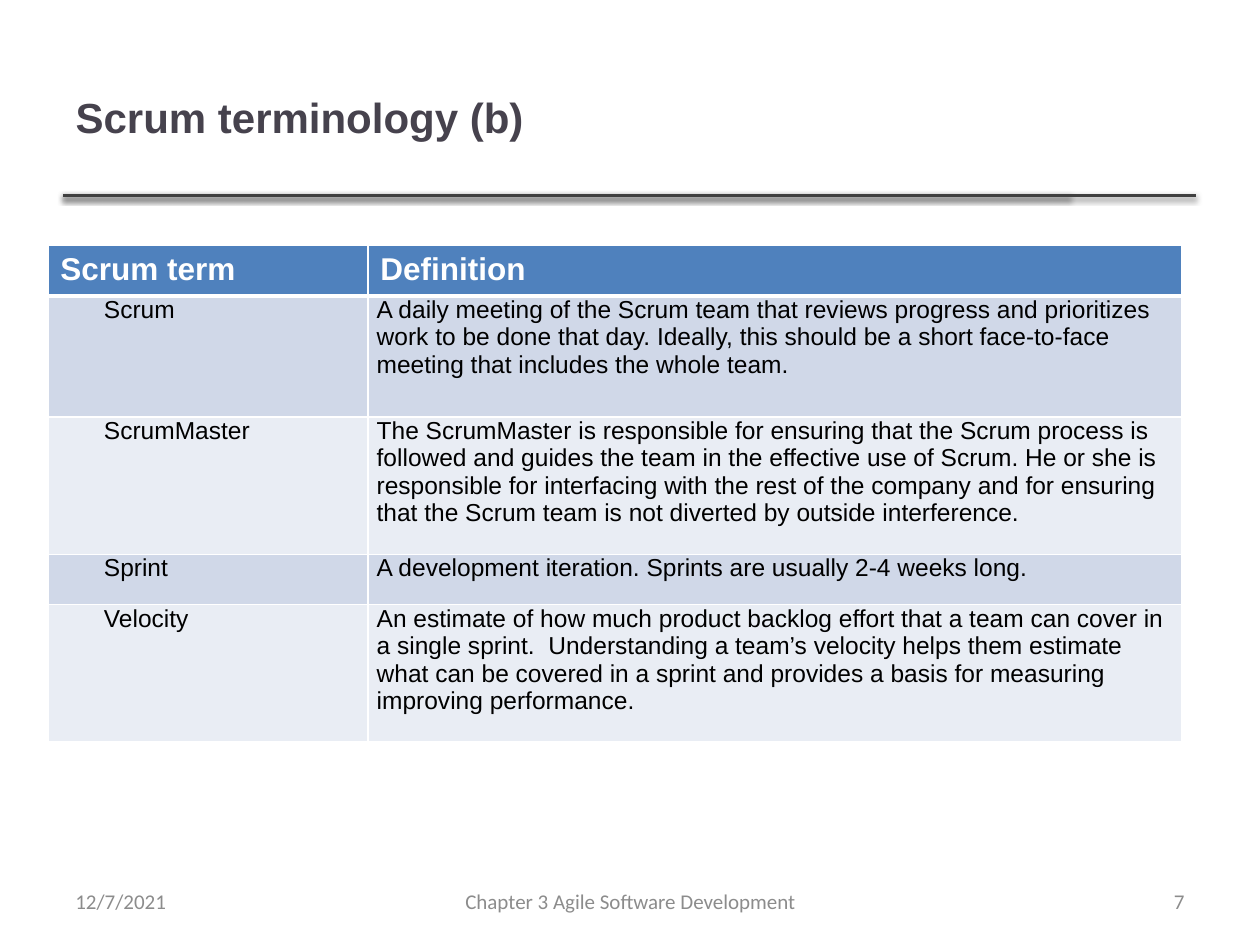
from dataclasses import dataclass
from itertools import cycle

from lxml.etree import SubElement
from pptx import Presentation
from pptx.dml.color import RGBColor
from pptx.enum.shapes import MSO_CONNECTOR
from pptx.enum.text import MSO_ANCHOR as Anchor, PP_ALIGN as Align
from pptx.oxml import parse_xml
from pptx.oxml.ns import nsdecls, qn
from pptx.util import Inches, Pt


@dataclass(frozen=True)
class Theme:
    heading_font: str = "Arial"
    footer_font: str = "Calibri"
    title: str = "46424D"
    rule: str = "404040"
    header: str = "4F81BD"
    bands: tuple[str, str] = ("D0D8E8", "E9EDF4")
    white: str = "FFFFFF"
    black: str = "000000"
    footer: str = "8C8C8C"
    title_size: int = 24
    header_size: int = 18
    body_size: int = 14
    footer_size: int = 12


@dataclass(frozen=True)
class Term:
    name: str
    definition: str
    height: float
    space_after: int = 0


@dataclass(frozen=True)
class FooterPart:
    text: str
    left: float
    width: float
    align: Align


THEME = Theme()
WIDTH, HEIGHT = 10, 7.5
MARGIN = 0.05 * WIDTH
RULE_Y = 1.55
TAB = 0.375
COLUMNS = (2.54, 6.46)
HEADER_HEIGHT = 0.4

TERMS = (
    Term("Scrum", "A daily meeting of the Scrum team that reviews progress and "
         "prioritizes work to be done that day. Ideally, this should be a short "
         "face-to-face meeting that includes the whole team.", 0.96, 6),
    Term("ScrumMaster", "The ScrumMaster is responsible for ensuring that the Scrum "
         "process is followed and guides the team in the effective use of Scrum. He "
         "or she is responsible for interfacing with the rest of the company and for "
         "ensuring that the Scrum team is not diverted by outside interference.", 1.09),
    Term("Sprint", "A development iteration. Sprints are usually 2-4 weeks long.", 0.4),
    Term("Velocity", "An estimate of how much product backlog effort that a team can "
         "cover in a single sprint.  Understanding a team’s velocity helps them "
         "estimate what can be covered in a sprint and provides a basis for measuring "
         "improving performance.", 1.09),
)
FOOTER = (
    FooterPart("Chapter 3 Agile Software Development", 3.42, 3.17, Align.CENTER),
    FooterPart("7", 7.17, 2.33, Align.RIGHT),
    FooterPart("12/7/2021", MARGIN, 2.33, Align.LEFT),
)


def add_run(paragraph, text: str, font: str, size: int, color: str,
            bold: bool = False) -> None:
    run = paragraph.add_run()
    run.text = text
    run.font.name, run.font.size, run.font.bold = font, Pt(size), bold
    run.font.color.rgb = RGBColor.from_string(color)


def add_rule(slide, end: float) -> None:
    """Draw a horizontal rule with a soft shadow from the left margin."""
    rule = slide.shapes.add_connector(
        MSO_CONNECTOR.STRAIGHT, Inches(MARGIN), Inches(RULE_Y), Inches(end), Inches(RULE_Y))
    rule.line.width = Pt(2)
    rule.line.color.rgb = RGBColor.from_string(THEME.rule)
    rule._element.spPr.append(parse_xml(
        f'<a:effectLst {nsdecls("a")}><a:outerShdw blurRad="{Pt(3.1)}" '
        f'dist="{Pt(1.6)}" dir="5400000" rotWithShape="0"><a:srgbClr val="{THEME.black}">'
        '<a:alpha val="38000"/></a:srgbClr></a:outerShdw></a:effectLst>'))


def style_cell(cell, fill: str, top: int = 1, bottom: int = 1) -> None:
    cell.fill.solid()
    cell.fill.fore_color.rgb = RGBColor.from_string(fill)
    borders = {"lnL": 1, "lnR": 1, "lnT": top, "lnB": bottom}
    for place, (side, width) in enumerate(borders.items()):
        cell._tc.get_or_add_tcPr().insert(place, parse_xml(
            f'<a:{side} {nsdecls("a")} w="{Pt(width)}"><a:solidFill>'
            f'<a:srgbClr val="{THEME.white}"/></a:solidFill></a:{side}>'))


def fill_body_cell(cell, text: str, indent: float, space_after: int) -> None:
    cell.margin_left = cell.margin_right = Inches(0.07)
    cell.margin_top = cell.margin_bottom = 0
    paragraph = cell.text_frame.paragraphs[0]
    properties = paragraph._p.get_or_add_pPr()
    properties.set("marL", "0")
    properties.set("indent", str(Inches(indent)))
    tabs = SubElement(properties, qn("a:tabLst"))
    for stop in (1, 2, 3):
        SubElement(tabs, qn("a:tab"), pos=str(Inches(stop * TAB)), algn="l")
    paragraph.space_after = Pt(space_after)
    add_run(paragraph, text, THEME.heading_font, THEME.body_size, THEME.black)


def add_glossary(slide, terms: tuple[Term, ...]) -> None:
    heights = [HEADER_HEIGHT] + [term.height for term in terms]
    glossary = slide.shapes.add_table(
        len(heights), len(COLUMNS), Inches(0.38), Inches(1.95),
        Inches(sum(COLUMNS)), Inches(sum(heights))).table
    for column, width in zip(glossary.columns, COLUMNS):
        column.width = Inches(width)
    for row, height in zip(glossary.rows, heights):
        row.height = Inches(height)

    # Header row
    for column, heading in enumerate(("Scrum term", "Definition")):
        cell = glossary.cell(0, column)
        style_cell(cell, THEME.header, bottom=3)
        add_run(cell.text_frame.paragraphs[0], heading, THEME.heading_font,
                THEME.header_size, THEME.white, bold=True)

    # Banded term rows
    for row, (term, band) in enumerate(zip(terms, cycle(THEME.bands)), start=1):
        for column, (text, indent) in enumerate(((term.name, TAB), (term.definition, 0))):
            cell = glossary.cell(row, column)
            style_cell(cell, band, top=3 if row == 1 else 1)
            fill_body_cell(cell, text, indent, term.space_after)


def add_footer_part(slide, part: FooterPart) -> None:
    frame = slide.shapes.add_textbox(
        Inches(part.left), Inches(6.95), Inches(part.width), Inches(0.4)).text_frame
    frame.word_wrap = True
    frame.vertical_anchor = Anchor.MIDDLE
    frame.paragraphs[0].alignment = part.align
    add_run(frame.paragraphs[0], part.text, THEME.footer_font, THEME.footer_size,
            THEME.footer)


def add_title(slide, text: str) -> None:
    title = slide.shapes.title
    title.left, title.top = Inches(MARGIN), Inches(0.04 * HEIGHT)
    title.width, title.height = Inches(7.98), Inches(1.25)
    title.text_frame.vertical_anchor = Anchor.MIDDLE
    heading = title.text_frame.paragraphs[0]
    heading.alignment = Align.LEFT
    add_run(heading, text, THEME.heading_font, THEME.title_size, THEME.title, bold=True)


def main() -> None:
    deck = Presentation()
    deck.slide_width, deck.slide_height = Inches(WIDTH), Inches(HEIGHT)
    slide = deck.slides.add_slide(deck.slide_layouts.get_by_name("Title Only"))

    # Title over its double rule
    add_title(slide, "Scrum terminology (b)")
    for end in (8.49, 9.49):
        add_rule(slide, end)

    # Glossary and footer
    add_glossary(slide, TERMS)
    for part in FOOTER:
        add_footer_part(slide, part)
    deck.save("out.pptx")


if __name__ == "__main__":
    main()
